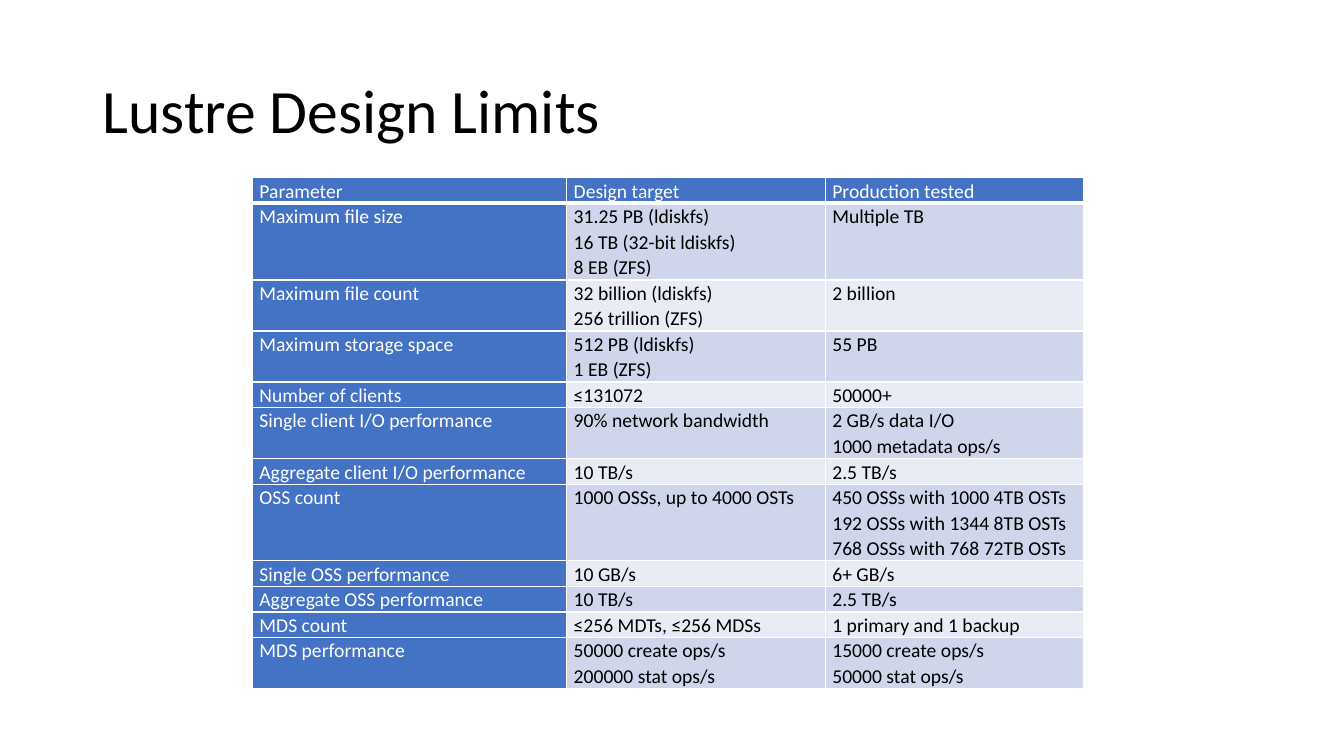
from lxml.etree import SubElement
from pptx import Presentation
from pptx.dml.color import RGBColor
from pptx.enum.text import MSO_ANCHOR, PP_ALIGN
from pptx.oxml.ns import qn
from pptx.util import Pt

BLACK = RGBColor(0x00, 0x00, 0x00)
WHITE = RGBColor(0xFF, 0xFF, 0xFF)
BLUE = RGBColor(0x44, 0x72, 0xC4)
BAND_DARK = RGBColor(0xCF, 0xD5, 0xEA)
BAND_LIGHT = RGBColor(0xE9, 0xEB, 0xF5)
FONT = "Calibri"
LINE_HEIGHT = 17.5
COLUMN_SHARES = (0.378, 0.311, 0.311)

# Each cell is a list of lines
LIMITS = [
    (["Parameter"], ["Design target"], ["Production tested"]),
    (["Maximum file size"],
     ["31.25 PB (ldiskfs)", "16 TB (32-bit ldiskfs)", "8 EB (ZFS)"],
     ["Multiple TB"]),
    (["Maximum file count"],
     ["32 billion (ldiskfs)", "256 trillion (ZFS)"], ["2 billion"]),
    (["Maximum storage space"],
     ["512 PB (ldiskfs)", "1 EB (ZFS)"], ["55 PB"]),
    (["Number of clients"], ["≤131072"], ["50000+"]),
    (["Single client I/O performance"], ["90% network bandwidth"],
     ["2 GB/s data I/O", "1000 metadata ops/s"]),
    (["Aggregate client I/O performance"], ["10 TB/s"], ["2.5 TB/s"]),
    (["OSS count"], ["1000 OSSs, up to 4000 OSTs"],
     ["450 OSSs with 1000 4TB OSTs", "192 OSSs with 1344 8TB OSTs",
      "768 OSSs with 768 72TB OSTs"]),
    (["Single OSS performance"], ["10 GB/s"], ["6+ GB/s"]),
    (["Aggregate OSS performance"], ["10 TB/s"], ["2.5 TB/s"]),
    (["MDS count"], ["≤256 MDTs, ≤256 MDSs"], ["1 primary and 1 backup"]),
    (["MDS performance"], ["50000 create ops/s", "200000 stat ops/s"],
     ["15000 create ops/s", "50000 stat ops/s"]),
]


def write_lines(frame, lines, size, color, spacing):
    for index, line in enumerate(lines):
        para = frame.add_paragraph() if index else frame.paragraphs[0]
        para.alignment = PP_ALIGN.LEFT
        para.line_spacing = spacing
        para.space_before = para.space_after = Pt(0)
        span = para.add_run()
        span.text = line
        span.font.size = Pt(size)
        span.font.name = FONT
        span.font.bold = False
        span.font.color.rgb = color


def add_borders(cell, bottom_width):
    properties = cell._tc.get_or_add_tcPr()
    for side, width in (("L", 1), ("R", 1), ("T", 1), ("B", bottom_width)):
        line = SubElement(properties, qn(f"a:ln{side}"), w=str(Pt(width)))
        fill = SubElement(line, qn("a:solidFill"))
        SubElement(fill, qn("a:srgbClr"), val=str(WHITE))


def place_title(page, left, top, width, height):
    title = page.shapes.title
    title.left, title.top = Pt(left), Pt(top)
    title.width, title.height = Pt(width), Pt(height)
    title.text_frame.vertical_anchor = MSO_ANCHOR.MIDDLE
    write_lines(title.text_frame, ["Lustre Design Limits"], 44, BLACK, 0.9)


def fill_cell(cell, lines, row, column):
    cell.margin_left = cell.margin_right = Pt(5)
    cell.margin_top = cell.margin_bottom = Pt(0)
    cell.vertical_anchor = MSO_ANCHOR.TOP
    heading = row == 0 or column == 0
    add_borders(cell, 1 if row else 3)
    cell.fill.solid()
    band = BAND_DARK if row % 2 else BAND_LIGHT
    cell.fill.fore_color.rgb = BLUE if heading else band
    write_lines(cell.text_frame, lines, 14, WHITE if heading else BLACK, 1.07)


def place_limits_table(page, left, top, width):
    line_counts = [max(map(len, entry)) for entry in LIMITS]
    table = page.shapes.add_table(
        len(LIMITS), len(COLUMN_SHARES), Pt(left), Pt(top), Pt(width),
        Pt(LINE_HEIGHT * sum(line_counts))).table
    table.first_col = True
    for column, share in zip(table.columns, COLUMN_SHARES):
        column.width = Pt(width * share)
    for row, entry in enumerate(LIMITS):
        table.rows[row].height = Pt(LINE_HEIGHT * line_counts[row])
        for column, lines in enumerate(entry):
            fill_cell(table.cell(row, column), lines, row, column)


def main():
    deck = Presentation()
    deck.slide_width, deck.slide_height = Pt(960), Pt(540)
    page = deck.slides.add_slide(deck.slide_layouts[5])
    place_title(page, 66, 28.75, 828, 104.4)
    place_limits_table(page, 180.3, 127, 594)
    deck.save("out.pptx")


if __name__ == "__main__":
    main()
